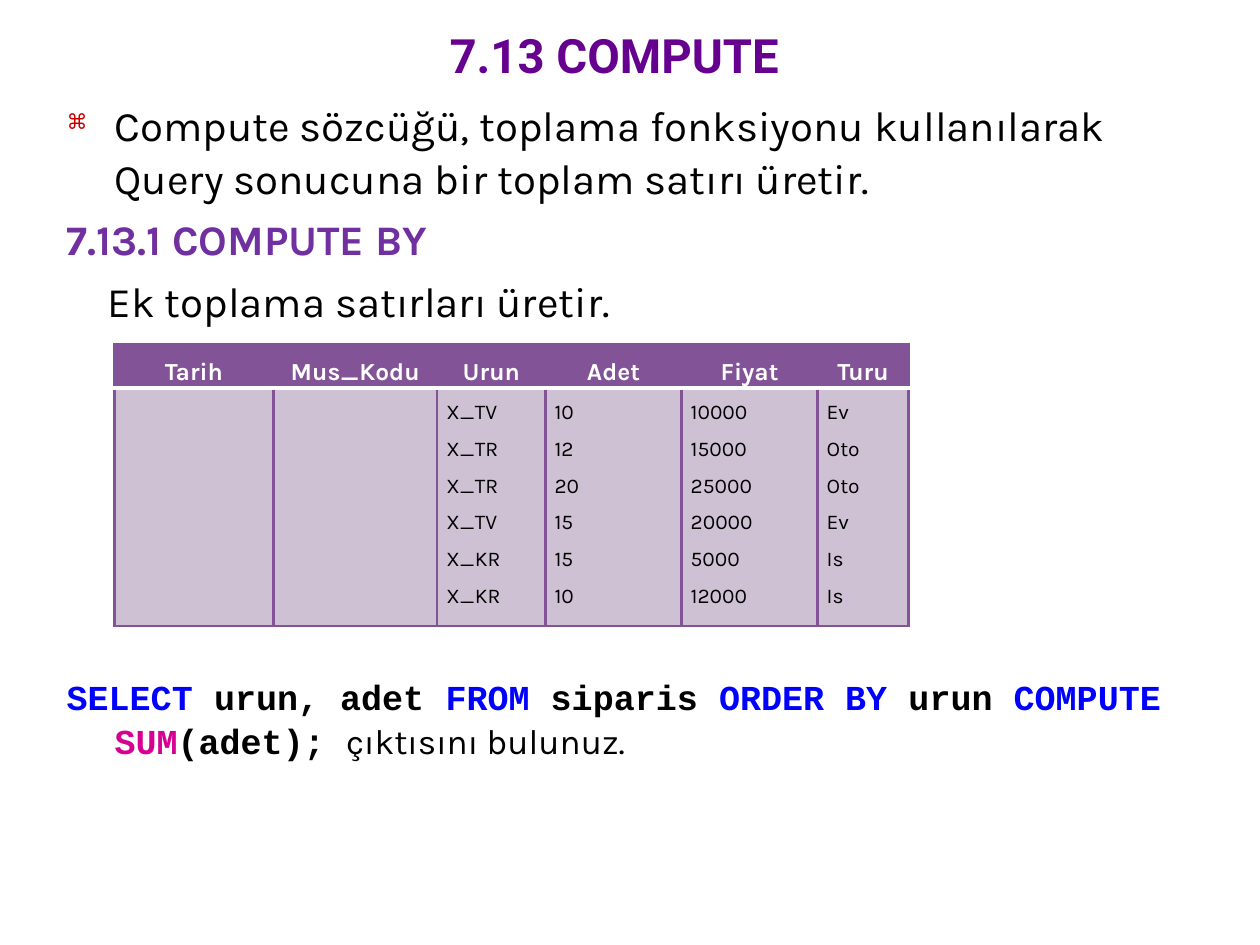
from dataclasses import dataclass

from lxml.etree import SubElement
from pptx import Presentation
from pptx.dml.color import RGBColor
from pptx.enum.text import MSO_ANCHOR, PP_ALIGN
from pptx.oxml.ns import qn
from pptx.util import Pt

PURPLE, BLACK, WHITE, BLUE, PINK = "825397", "000000", "FFFFFF", "0000FF", "D60093"
SANS, MONO = "Karla", "Courier New"
HANG = 27.36


@dataclass
class Line:
    text: str
    color: str = BLACK
    bold: bool = False
    left: float = HANG
    indent: float = -HANG
    bullet: str = ""


@dataclass
class Column:
    head: str
    width: float
    items: tuple = ()


LINES = [
    Line("Compute sözcüğü, toplama fonksiyonu kullanılarak Query sonucuna "
         "bir toplam satırı üretir.", bullet="⌘"),
    Line("7.13.1 COMPUTE BY", "7030A0", True),
    Line("Ek toplama satırları üretir.", left=23.4, indent=0),
]
COLUMNS = [
    Column("Tarih", 90.72),
    Column("Mus_Kodu", 93.6),
    Column("Urun", 61.92, ("X_TV", "X_TR", "X_TR", "X_TV", "X_KR", "X_KR")),
    Column("Adet", 77.76, ("10", "12", "20", "15", "15", "10")),
    Column("Fiyat", 77.76, ("10000", "15000", "25000", "20000", "5000", "12000")),
    Column("Turu", 51.84, ("Ev", "Oto", "Oto", "Ev", "Is", "Is")),
]
QUERY = [
    ("SELECT ", BLUE), ("urun, adet ", BLACK), ("FROM ", BLUE),
    ("siparis ", BLACK), ("ORDER BY ", BLUE), ("urun ", BLACK),
    ("COMPUTE ", BLUE), ("SUM", PINK), ("(adet); ", BLACK),
]


def paint(color: str) -> RGBColor:
    return RGBColor.from_string(color)


def style(font, name: str, size: float, color: str, bold: bool = False) -> None:
    font.name, font.size, font.bold = name, Pt(size), bold
    font.color.rgb = paint(color)


def add_box(slide, left: float, top: float, width: float, height: float):
    box = slide.shapes.add_textbox(Pt(left), Pt(top), Pt(width), Pt(height))
    box.text_frame.word_wrap = True
    return box.text_frame


def set_hang(para, left: float, indent: float, bullet: str = "") -> None:
    props = para._p.get_or_add_pPr()
    props.set("marL", str(Pt(left)))
    props.set("indent", str(Pt(indent)))
    para.line_spacing = 1.05
    if bullet:
        tint = SubElement(props, qn("a:buClr"))
        SubElement(tint, qn("a:srgbClr"), val="C80000")
        SubElement(props, qn("a:buSzPct"), val="50000")
        SubElement(props, qn("a:buChar"), char=bullet)


def add_lines(frame, lines: list[Line]) -> None:
    for i, line in enumerate(lines):
        para = frame.add_paragraph() if i else frame.paragraphs[0]
        para.text = line.text
        para.space_before = Pt(4.8 if i else 0)
        set_hang(para, line.left, line.indent, line.bullet)
        style(para.font, SANS, 24, line.color, line.bold)


def set_edge(cell, side: str, color: str, width: float) -> None:
    props = cell._tc.get_or_add_tcPr()
    edge = SubElement(props, qn(f"a:ln{side}"), w=str(Pt(width)))
    fill = SubElement(edge, qn("a:solidFill"))
    SubElement(fill, qn("a:srgbClr"), val=color)


def fill_cell(cell, texts: tuple, head: bool) -> None:
    cell.margin_left = cell.margin_right = Pt(5.2)
    cell.margin_top = cell.margin_bottom = 0
    for side in "LRTB":
        white = (head and side == "B") or (not head and side == "T")
        set_edge(cell, side, WHITE if white else PURPLE, 2.36 if white else 1.57)
    cell.fill.solid()
    cell.fill.fore_color.rgb = paint(PURPLE if head else "CDC1D3")
    for i, text in enumerate(texts):
        frame = cell.text_frame
        para = frame.add_paragraph() if i else frame.paragraphs[0]
        para.text = text
        para.alignment = PP_ALIGN.CENTER if head else PP_ALIGN.JUSTIFY
        para.line_spacing = 1.5
        style(para.font, SANS, 14 if head else 12, WHITE if head else BLACK, head)


def add_orders(slide, left: float, top: float, columns: list[Column]) -> None:
    width = sum(c.width for c in columns)
    table = slide.shapes.add_table(
        2, len(columns), Pt(left), Pt(top), Pt(width), Pt(161)).table
    table.rows[0].height, table.rows[1].height = Pt(25), Pt(136)
    for i, column in enumerate(columns):
        table.columns[i].width = Pt(column.width)
        fill_cell(table.cell(0, i), (column.head,), True)
        fill_cell(table.cell(1, i), column.items, False)


def add_query(frame, parts: list[tuple[str, str]], note: str) -> None:
    para = frame.paragraphs[0]
    set_hang(para, HANG, -HANG)
    for text, color in parts:
        run = para.add_run()
        run.text = text
        style(run.font, MONO, 20, color, True)
    run = para.add_run()
    run.text = note
    style(run.font, SANS, 20, BLACK)


def main() -> None:
    deck = Presentation()
    deck.slide_width, deck.slide_height = Pt(720), Pt(540)
    slide = deck.slides.add_slide(deck.slide_layouts[5])

    # Title
    title = slide.shapes.title
    title.left, title.top, title.width, title.height = Pt(33), Pt(11), Pt(636), Pt(40)
    title.text_frame.text = "7.13 COMPUTE"
    title.text_frame.vertical_anchor = MSO_ANCHOR.MIDDLE
    para = title.text_frame.paragraphs[0]
    para.alignment = PP_ALIGN.CENTER
    style(para.font, "Roboto", 27, "66008F", True)

    # Explanation, order table and query
    add_lines(add_box(slide, 31, 52, 674, 140), LINES)
    add_orders(slide, 65.5, 196.5, COLUMNS)
    add_query(add_box(slide, 31, 381, 674, 60), QUERY, "çıktısını bulunuz.")

    deck.save("out.pptx")


if __name__ == "__main__":
    main()
